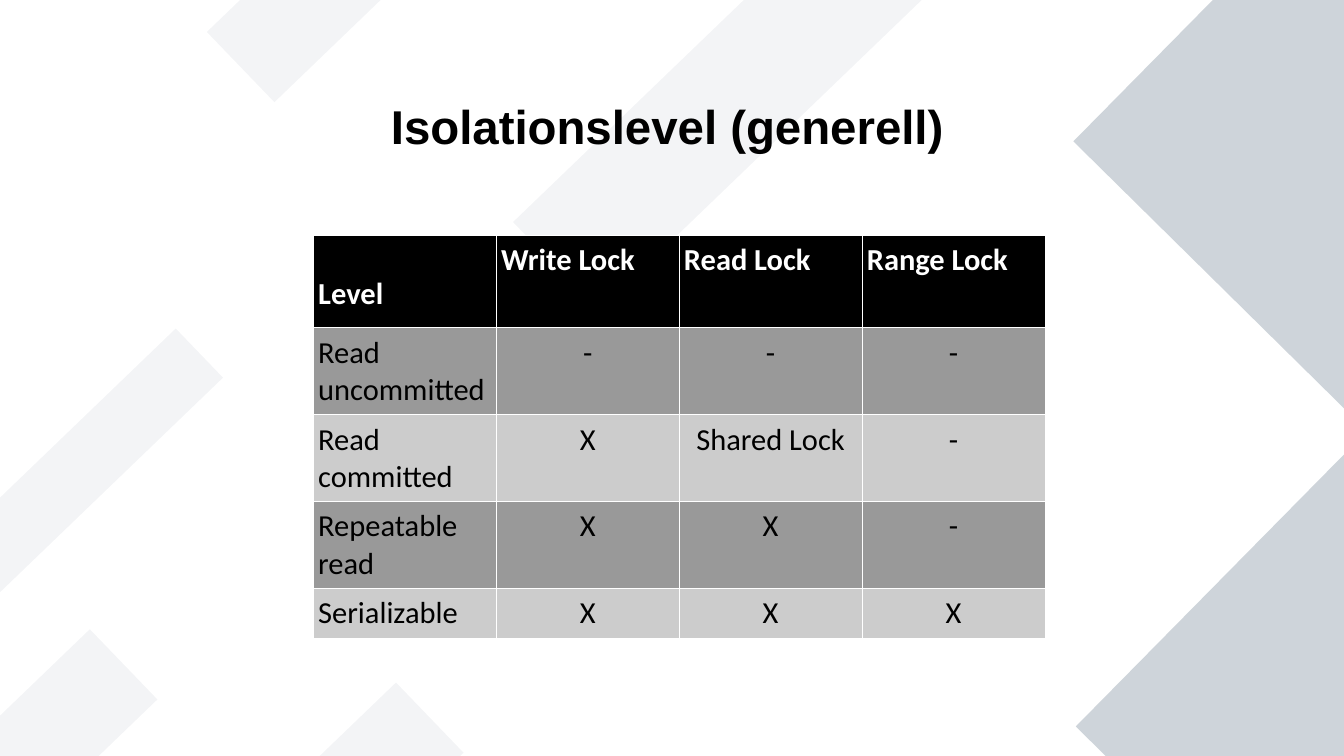
import dataclasses
import typing

import lxml.etree
import pptx
import pptx.dml.color
import pptx.enum.shapes
import pptx.enum.text
import pptx.oxml
import pptx.oxml.ns
import pptx.util

Cm = pptx.util.Cm
Pt = pptx.util.Pt
Align = pptx.enum.text.PP_ALIGN
Anchor = pptx.enum.text.MSO_ANCHOR
qn = pptx.oxml.ns.qn


@dataclasses.dataclass(frozen=True)
class Theme:
    black: str = "000000"
    white: str = "FFFFFF"
    dark: str = "999999"
    light: str = "CCCCCC"
    block: str = "CED4DA"
    stripe: str = "8D99AE"
    head_font: str = "Arial"
    cell_font: str = "Calibri"
    head_size: float = 28
    cell_size: float = 18
    rule: float = 0.57


@dataclasses.dataclass(frozen=True)
class Bar:
    left: float
    top: float
    width: float
    height: float
    angle: float
    color: str
    alpha: int = 100


THEME = Theme()
BLOCKS = [Bar(left, top, 8.05, 8.05, 314.6, THEME.block)
          for left, top in [(24.03, -1.12), (24.08, 11.07)]]
STRIPES = [Bar(*box, 316.1, THEME.stripe, 10) for box in [
    (2.77, 16.43, 7.19, 2.03),
    (-3.61, 15.32, 7.19, 2.03),
    (10.24, 0.94, 9.6, 2.57),
    (4.01, -2.11, 7.19, 2.03),
    (-2.03, 9.14, 7.19, 1.42),
]]
LOCKS = [
    ("Level", "Write Lock", "Read Lock", "Range Lock"),
    ("Read uncommitted", "-", "-", "-"),
    ("Read committed", "X", "Shared Lock", "-"),
    ("Repeatable read", "X", "X", "-"),
    ("Serializable", "X", "X", "X"),
]
COL_WIDTH = 3.81
ROW_SIZES = [1.93, 1.75, 1.75, 1.75, 0.97]


def rgb(color: str) -> pptx.dml.color.RGBColor:
    return pptx.dml.color.RGBColor.from_string(color)


def style(para: typing.Any, font: str, size: float, color: str, bold: bool) -> None:
    for run in para.runs:
        run.font.name = font
        run.font.size = Pt(size)
        run.font.bold = bold
        run.font.color.rgb = rgb(color)


def draw_bar(slide: typing.Any, bar: Bar) -> None:
    shape = slide.shapes.add_shape(
        pptx.enum.shapes.MSO_SHAPE.RECTANGLE,
        Cm(bar.left), Cm(bar.top), Cm(bar.width), Cm(bar.height))
    shape.rotation = bar.angle
    shape.shadow.inherit = False
    shape.line.fill.background()
    shape.fill.solid()
    shape.fill.fore_color.rgb = rgb(bar.color)
    if bar.alpha < 100:
        tint = shape.element.spPr.find(".//" + qn("a:srgbClr"))
        lxml.etree.SubElement(tint, qn("a:alpha")).set("val", str(bar.alpha * 1000))


def draw_title(slide: typing.Any, text: str) -> None:
    title = slide.shapes.title
    title.left, title.top = Cm(1.3), Cm(1.3)
    title.width, title.height = Cm(25.2), Cm(2.64)
    frame = title.text_frame
    frame.text = text
    frame.word_wrap = True
    frame.auto_size = pptx.enum.text.MSO_AUTO_SIZE.NONE
    frame.vertical_anchor = Anchor.MIDDLE
    frame.margin_left = frame.margin_right = 0
    frame.margin_top = frame.margin_bottom = 0
    para = frame.paragraphs[0]
    para.alignment = Align.CENTER
    style(para, THEME.head_font, THEME.head_size, THEME.black, True)
    # The title belongs in front of the bars.
    title.element.getparent().append(title.element)


def add_rules(cell: typing.Any) -> None:
    """Give the cell a thin white line on all four sides."""
    props = cell._tc.get_or_add_tcPr()
    for spot, side in enumerate(("lnL", "lnR", "lnT", "lnB")):
        line = pptx.oxml.parse_xml(
            f'<a:{side} {pptx.oxml.ns.nsdecls("a")} w="{Pt(THEME.rule)}">'
            f'<a:solidFill><a:srgbClr val="{THEME.white}"/></a:solidFill></a:{side}>')
        props.insert(spot, line)


def draw_cell(cell: typing.Any, text: str, row: int, col: int) -> None:
    head = row == 0
    fill = THEME.black if head else (THEME.dark if row % 2 else THEME.light)
    cell.fill.solid()
    cell.fill.fore_color.rgb = rgb(fill)
    cell.margin_left = cell.margin_right = Cm(0.1)
    cell.margin_top = Cm(0.84 if head and col == 0 else 0.13)
    cell.margin_bottom = Cm(0.13)
    cell.vertical_anchor = Anchor.TOP
    cell.text_frame.text = text
    para = cell.text_frame.paragraphs[0]
    para.alignment = Align.LEFT if head or col == 0 else Align.CENTER
    color = THEME.white if head else THEME.black
    style(para, THEME.cell_font, THEME.cell_size, color, head)
    add_rules(cell)


def draw_table(slide: typing.Any) -> None:
    cols = len(LOCKS[0])
    table = slide.shapes.add_table(
        len(LOCKS), cols, Cm(6.53), Cm(4.9),
        Cm(COL_WIDTH * cols), Cm(sum(ROW_SIZES))).table
    for column in table.columns:
        column.width = Cm(COL_WIDTH)
    for row, (size, texts) in enumerate(zip(ROW_SIZES, LOCKS)):
        table.rows[row].height = Cm(size)
        for col, text in enumerate(texts):
            draw_cell(table.cell(row, col), text, row, col)


def main() -> None:
    deck = pptx.Presentation()
    deck.slide_width, deck.slide_height = Cm(28), Cm(15.75)
    slide = deck.slides.add_slide(deck.slide_layouts.get_by_name("Title Only"))
    slide.background.fill.solid()
    slide.background.fill.fore_color.rgb = rgb(THEME.white)
    for bar in BLOCKS + STRIPES:
        draw_bar(slide, bar)
    draw_title(slide, "Isolationslevel (generell)")
    draw_table(slide)
    deck.save("out.pptx")


if __name__ == "__main__":
    main()
